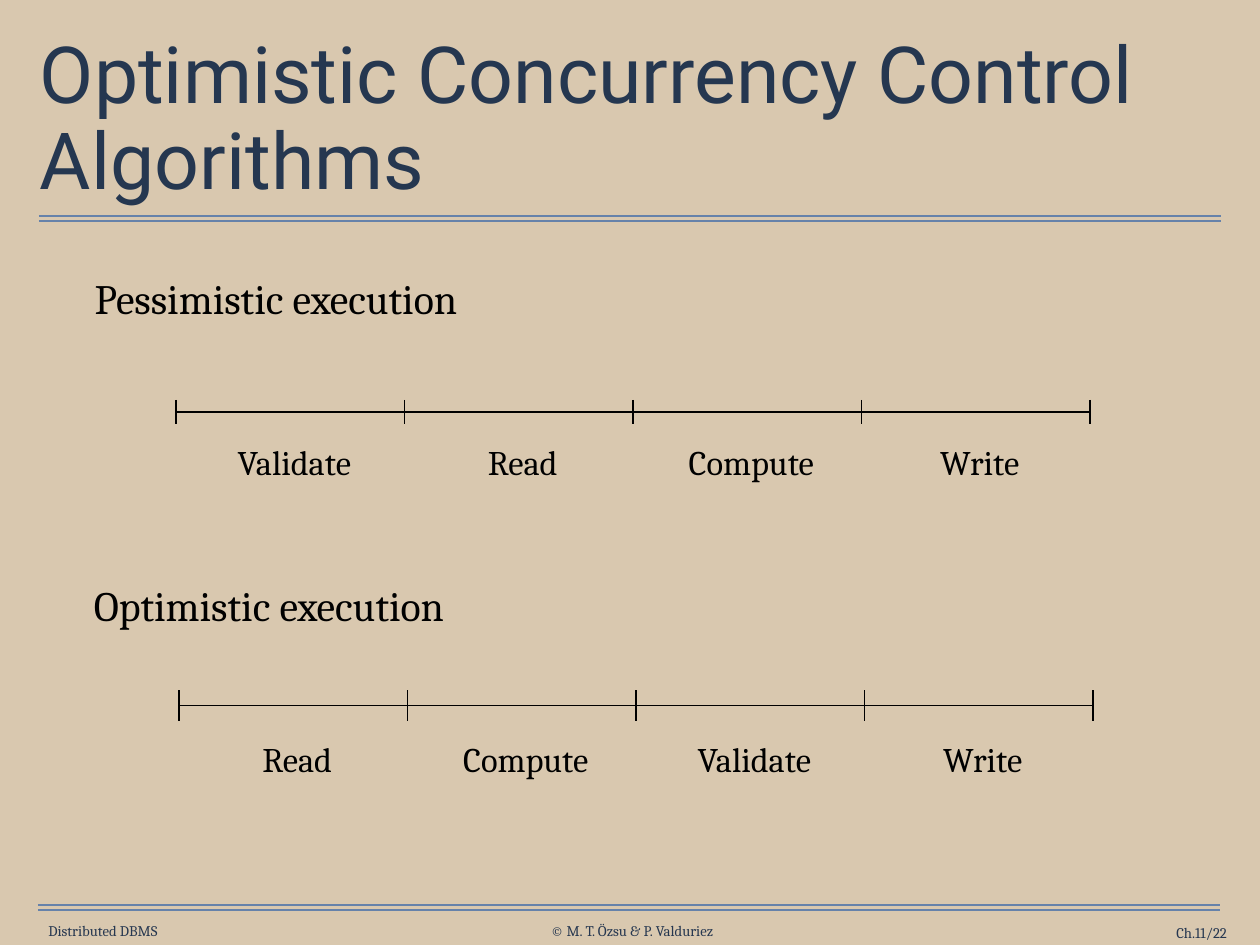
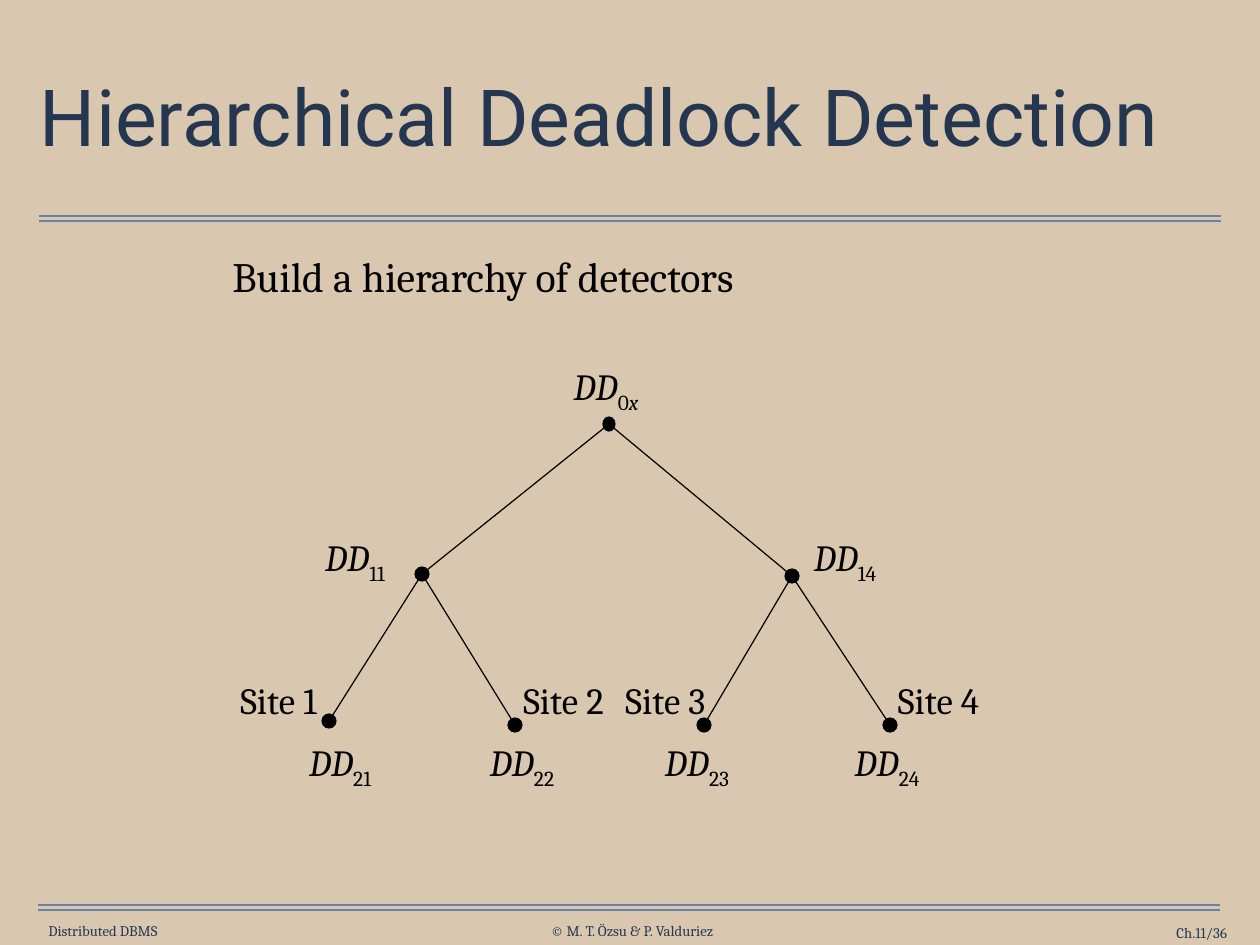
from lxml.etree import SubElement
from pptx import Presentation
from pptx.dml.color import RGBColor
from pptx.enum.shapes import MSO_CONNECTOR, MSO_SHAPE
from pptx.enum.text import MSO_ANCHOR as ANCHOR, MSO_AUTO_SIZE as FIT, PP_ALIGN as ALIGN
from pptx.oxml.ns import qn
from pptx.util import Pt

PX = 914400 / 88.6
COLORS = {"back": "D9C8AF", "rule": "6682AA", "footer": "263750",
          "title": "253750", "ink": "000000"}
BODY, HEAD = "Cambria", "Roboto"
LABEL_INSETS = (12, 6)
HEADING = dict(size=34, insets=(9, 4), spacing=1.02)


def px(*lengths):
    return [round(n * PX) for n in lengths]


def rgb(name):
    return RGBColor.from_string(COLORS[name])


def add_text(s, box, text, size=28, font=BODY, color="ink", align=ALIGN.CENTER,
             anchor=ANCHOR.TOP, insets=LABEL_INSETS, spacing=None, wrap=False, fit=True):
    """text is a string or a list of (string, italic, subscript) runs."""
    tf = s.shapes.add_textbox(*px(*box)).text_frame
    tf.word_wrap = wrap
    tf.auto_size = FIT.SHAPE_TO_FIT_TEXT if fit else FIT.NONE
    tf.vertical_anchor = anchor
    tf.margin_left = tf.margin_right = px(insets[0])[0]
    tf.margin_top = tf.margin_bottom = px(insets[1])[0]
    p = tf.paragraphs[0]
    p.alignment = align
    if spacing:
        p.line_spacing = spacing
    runs = [(text, False, False)] if isinstance(text, str) else text
    for words, italic, subscript in runs:
        r = p.add_run()
        r.text = words
        r.font.name, r.font.size = font, Pt(size)
        r.font.color.rgb = rgb(color)
        if italic:
            r.font.italic = True
        if subscript:
            r._r.get_or_add_rPr().set("baseline", "-25000")


def add_line(s, x1, y1, x2, y2, color="ink"):
    line = s.shapes.add_connector(MSO_CONNECTOR.STRAIGHT, *px(x1, y1, x2, y2))
    line.line.color.rgb = rgb(color)
    line.line.width = Pt(1)
    SubElement(line._element.spPr, qn("a:effectLst"))


def add_dot(s, center, w=14, h=14):
    x, y = center
    dot = s.shapes.add_shape(MSO_SHAPE.OVAL, *px(x - w / 2, y - h / 2, w, h))
    dot.shadow.inherit = False
    dot.fill.solid()
    dot.fill.fore_color.rgb = dot.line.color.rgb = rgb("ink")
    dot.line.width = Pt(1)


def add_frame(prs, title, page):
    """New slide with the shared title, double rules and footer."""
    s = prs.slides.add_slide(prs.slide_layouts[6])
    for x, y in ((39, 216), (38, 905)):
        for gap in (0, 5):
            add_line(s, x, y + gap, x + 1182, y + gap, color="rule")
    footer = dict(size=12, color="footer", anchor=ANCHOR.MIDDLE, insets=(0, 0))
    add_text(s, (42, 922, 122, 18), "Distributed DBMS", **footer)
    add_text(s, (540, 922, 184, 18), "© M. T. Özsu & P. Valduriez", **footer)
    add_text(s, (1091, 924, 136, 18), page, align=ALIGN.RIGHT, wrap=True, **footer)
    add_text(s, (35, 43, 1191, 156), title, size=64, font=HEAD, color="title",
             align=ALIGN.LEFT, anchor=ANCHOR.MIDDLE, insets=(5, 5), spacing=0.9,
             wrap=True, fit=False)
    return s


def add_timeline(s, box, phases, label_gap):
    """Axis through the middle of the box, a tick at each end of a phase."""
    x, y, w, h = box
    step = w / len(phases)
    add_line(s, x, y + h / 2, x + w, y + h / 2)
    for i in range(len(phases) + 1):
        add_line(s, x + i * step, y, x + i * step, y + h)
    widths = {"Validate": 151, "Read": 104, "Compute": 169, "Write": 111}
    for i, phase in enumerate(phases):
        label_w = widths[phase]
        left = x + (i + 0.5) * step + 4 - label_w / 2
        add_text(s, (left, y + h + label_gap, label_w, 54), phase)


def add_detector_tree(s, left, top):
    def at(x, y):
        return left + x, top + y

    def detector(x, y, *index):
        runs = [("DD", True, False)]
        runs += [(part, part.isalpha(), True) for part in index]
        add_text(s, (*at(x, y), 112, 57), runs, size=30)

    root, mid_left, mid_right = at(387, 66), at(200, 216), at(570, 218)
    leaves = [at(107, 363), at(293, 367), at(482, 367), at(668, 367)]

    # Branches: one open outline on the left, single lines elsewhere
    outline = s.shapes.build_freeform(*leaves[0], scale=PX)
    outline.add_line_segments([mid_left, leaves[1]], close=False)
    branch = outline.convert_to_shape()
    branch.shadow.inherit = False
    branch.fill.background()
    branch.line.color.rgb = rgb("ink")
    branch.line.width = Pt(1)
    for start, end in ((leaves[2], mid_right), (mid_right, leaves[3]),
                       (mid_left, root), (mid_right, root)):
        add_line(s, *start, *end)

    # Nodes
    for node in (mid_left, mid_right, *leaves):
        add_dot(s, node)
    add_dot(s, root, w=12)

    # Labels
    detector(328, 0, "0", "x")
    detector(77, 171, "11")
    detector(567, 171, "14")
    for i, (site_x, detector_x) in enumerate(
            ((0, 62), (285, 244), (387, 419), (660, 609)), start=1):
        add_text(s, (*at(site_x, 314), 113, 57), f"Site {i}", size=30)
        detector(detector_x, 376, f"2{i}")


def build_execution_slide(prs):
    s = add_frame(prs, "Optimistic Concurrency Control Algorithms", "Ch.11/22")
    add_text(s, (68, 268, 416, 58), "Pessimistic execution", **HEADING)
    add_timeline(s, (176, 400, 914, 24), ["Validate", "Read", "Compute", "Write"], 11)
    add_text(s, (66, 575, 406, 58), "Optimistic execution", **HEADING)
    add_timeline(s, (179, 690, 914, 31), ["Read", "Compute", "Validate", "Write"], 11)


def build_hierarchy_slide(prs):
    s = add_frame(prs, "Hierarchical Deadlock Detection", "Ch.11/36")
    add_text(s, (201, 246, 564, 58), "Build a hierarchy of detectors", **HEADING)
    add_detector_tree(s, 222, 358)


prs = Presentation()
prs.slide_width, prs.slide_height = px(1260, 945)
fill = prs.slide_master.background.fill
fill.solid()
fill.fore_color.rgb = rgb("back")
build_execution_slide(prs)
build_hierarchy_slide(prs)
prs.save("out.pptx")
